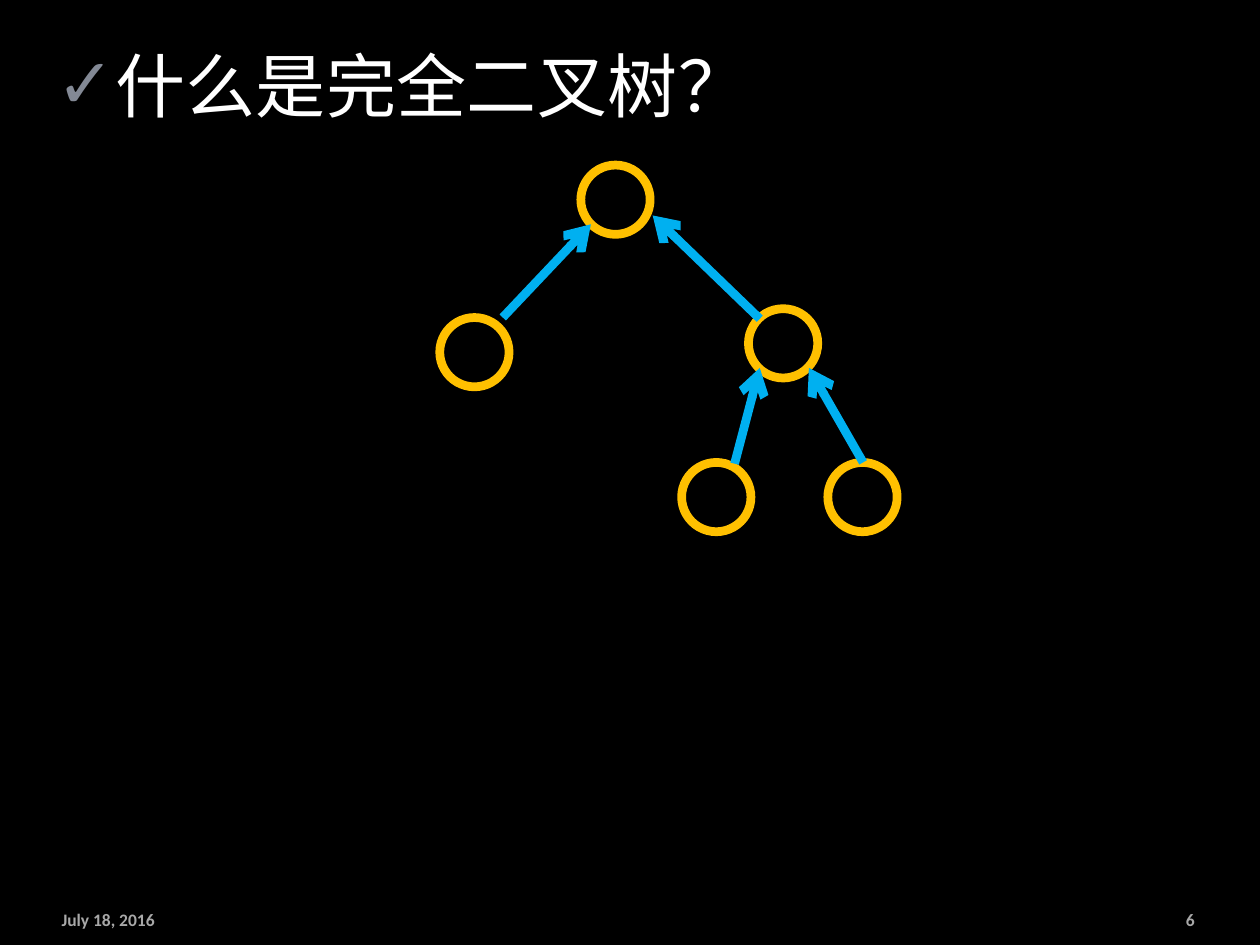
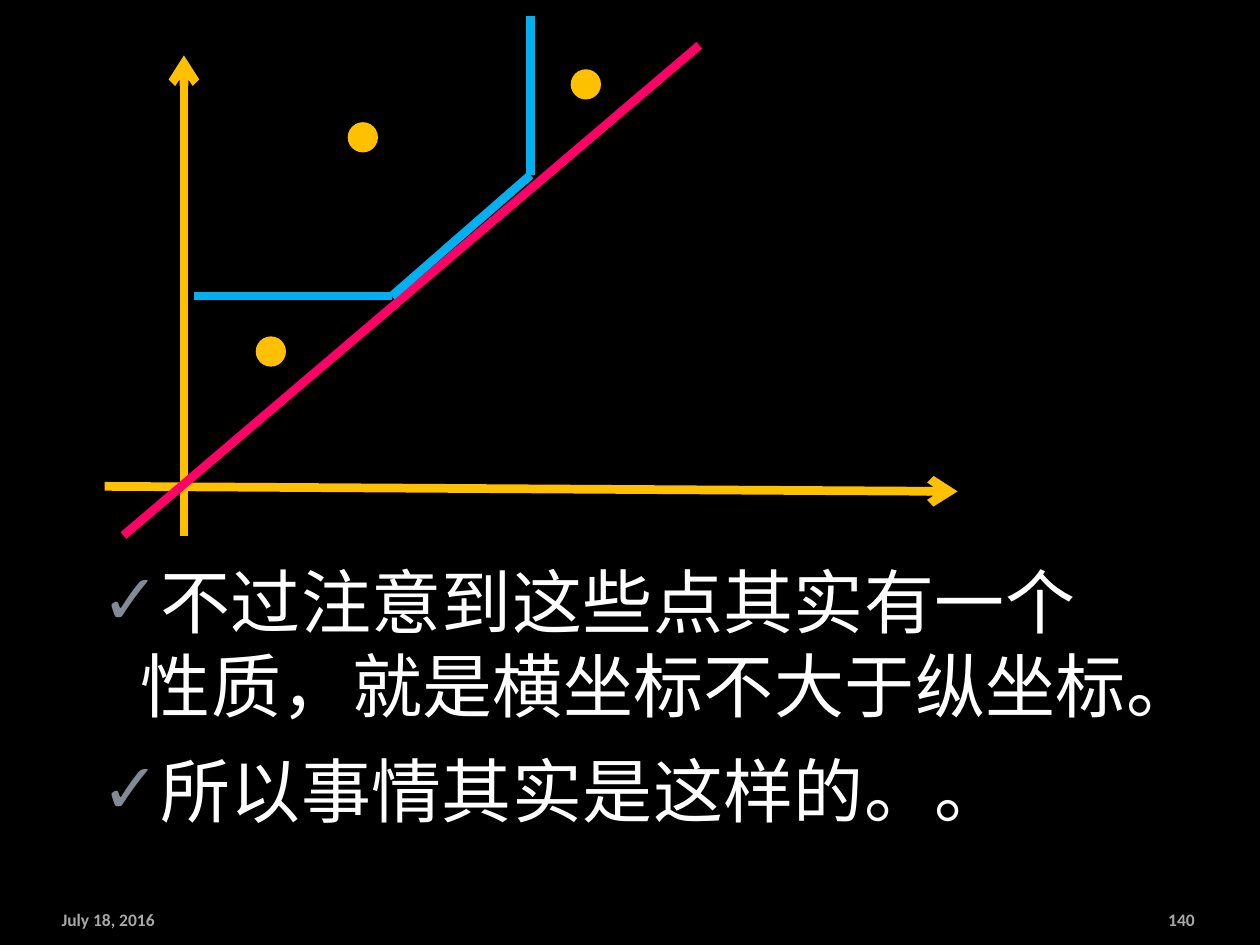
from lxml.etree import SubElement
from pptx import Presentation
from pptx.dml.color import RGBColor
from pptx.enum.shapes import MSO_CONNECTOR, MSO_SHAPE
from pptx.enum.text import MSO_ANCHOR, PP_ALIGN
from pptx.oxml.ns import qn
from pptx.util import Inches, Pt

BLACK, WHITE, GRAY = "000000", "FFFFFF", "838995"
GOLD, BLUE, PINK = "FFC000", "00B0F0", "FF0066"
FONT = "Calibri"
STROKE = 5


def paint(color, value):
    """Set a colour format from a hex string."""
    color.rgb = RGBColor.from_string(value)


def add_bullet(para):
    """Give a paragraph a hanging check mark."""
    props = para._p.get_or_add_pPr()
    props.set("marL", str(Inches(0.31)))
    props.set("indent", str(-Inches(0.31)))
    tint = SubElement(props, qn("a:buClr"))
    SubElement(tint, qn("a:srgbClr"), val=GRAY)
    SubElement(props, qn("a:buFont"), typeface="Arial")
    SubElement(props, qn("a:buChar"), char="✓")


def add_text(slide, box, *lines, size=40, bold=False, align=PP_ALIGN.LEFT,
             anchor=MSO_ANCHOR.TOP, alpha=100, check=False, track=0):
    """Write lines of text in a box, one paragraph each."""
    frame = slide.shapes.add_textbox(*map(Inches, box)).text_frame
    frame.word_wrap = True
    frame.vertical_anchor = anchor
    for index, line in enumerate(lines):
        para = frame.add_paragraph() if index else frame.paragraphs[0]
        if check:
            add_bullet(para)
        if index:
            para.space_before = Pt(12)
        para.alignment = align
        run = para.add_run()
        run.text = line
        font = run.font
        font.name, font.size, font.bold = FONT, Pt(size), bold
        paint(font.color, WHITE)
        props = run._r.get_or_add_rPr()
        if track:
            props.set("spc", str(track))
        if alpha < 100:
            tint = props.find(".//" + qn("a:srgbClr"))
            SubElement(tint, qn("a:alpha"), val=str(alpha * 1000))


def add_disc(slide, left, top, size, solid=False):
    """Draw a gold ring or a solid gold dot."""
    disc = slide.shapes.add_shape(
        MSO_SHAPE.OVAL, *map(Inches, (left, top, size, size)))
    disc.shadow.inherit = False
    if solid:
        disc.fill.solid()
        paint(disc.fill.fore_color, GOLD)
        disc.line.fill.background()
    else:
        disc.fill.background()
        paint(disc.line.color, GOLD)
        disc.line.width = Pt(STROKE)


def add_line(slide, origin, start, end, color, arrow=False):
    """Draw a line between two points measured from an origin."""
    ends = [Inches(base + step) for point in (start, end)
            for base, step in zip(origin, point)]
    line = slide.shapes.add_connector(MSO_CONNECTOR.STRAIGHT, *ends)
    paint(line.line.color, color)
    line.line.width = Pt(STROKE)
    if arrow:
        SubElement(line.line._get_or_add_ln(), qn("a:tailEnd"), type="arrow")
    SubElement(line._element.spPr, qn("a:effectLst"))


def add_body(slide, box, *lines):
    """Write large check-marked points."""
    add_text(slide, box, *lines, check=True, track=30)


def add_foot(slide, number):
    """Write the date and the slide number."""
    style = dict(size=10, bold=True, anchor=MSO_ANCHOR.MIDDLE, alpha=65)
    add_text(slide, (0.39, 7.16, 1.6, 0.27), "July 18, 2016", **style)
    add_text(slide, (8.62, 7.16, 0.96, 0.27), str(number),
             align=PP_ALIGN.RIGHT, **style)


def add_page(deck, number):
    """Add a black slide with its footer."""
    slide = deck.slides.add_slide(deck.slide_layouts[6])
    fill = slide.background.fill
    fill.solid()
    paint(fill.fore_color, BLACK)
    add_foot(slide, number)
    return slide


def draw_tree(slide, left, top):
    """Draw five nodes with arrows from child to parent."""
    nodes = [(1.12, 0), (0, 1.21), (2.45, 1.14), (1.92, 2.36), (3.08, 2.36)]
    links = [((0.5, 1.21), (1.2, 0.47)), ((2.54, 1.22), (1.69, 0.4)),
             ((2.34, 2.37), (2.54, 1.61)), ((3.36, 2.36), (2.93, 1.61))]
    for x, y in nodes:
        add_disc(slide, left + x, top + y, 0.55)
    for child, parent in links:
        add_line(slide, (left, top), child, parent, BLUE, arrow=True)


def draw_plot(slide, left, top):
    """Draw axes, points, the diagonal and the bent border."""
    origin = left, top
    axes = [((0.63, 4.12), (0.63, 0.31)), ((0, 3.73), (6.77, 3.77))]
    dots = [(1.2, 2.54), (3.7, 0.42), (1.93, 0.84)]
    border = [(0.71, 2.22), (2.28, 2.22), (3.38, 1.26), (3.38, 0)]
    for start, end in axes:
        add_line(slide, origin, start, end, GOLD, arrow=True)
    for x, y in dots:
        add_disc(slide, left + x, top + y, 0.24, solid=True)
    add_line(slide, origin, (0.15, 4.12), (4.72, 0.23), PINK)
    for start, end in zip(border, border[1:]):
        add_line(slide, origin, start, end, BLUE)


def main():
    """Build both slides and save them."""
    deck = Presentation()
    deck.slide_width, deck.slide_height = Inches(10), Inches(7.5)

    tree = add_page(deck, 6)
    add_body(tree, (0.35, 0.29, 9.21, 5.17), "什么是完全二叉树？")
    draw_tree(tree, 3.49, 1.31)

    plot = add_page(deck, 140)
    add_body(plot, (0.71, 4.38, 8.43, 2.52),
             "不过注意到这些点其实有一个性质，就是横坐标不大于纵坐标。",
             "所以事情其实是这样的。。")
    draw_plot(plot, 0.83, 0.13)

    deck.save("out.pptx")


if __name__ == "__main__":
    main()
